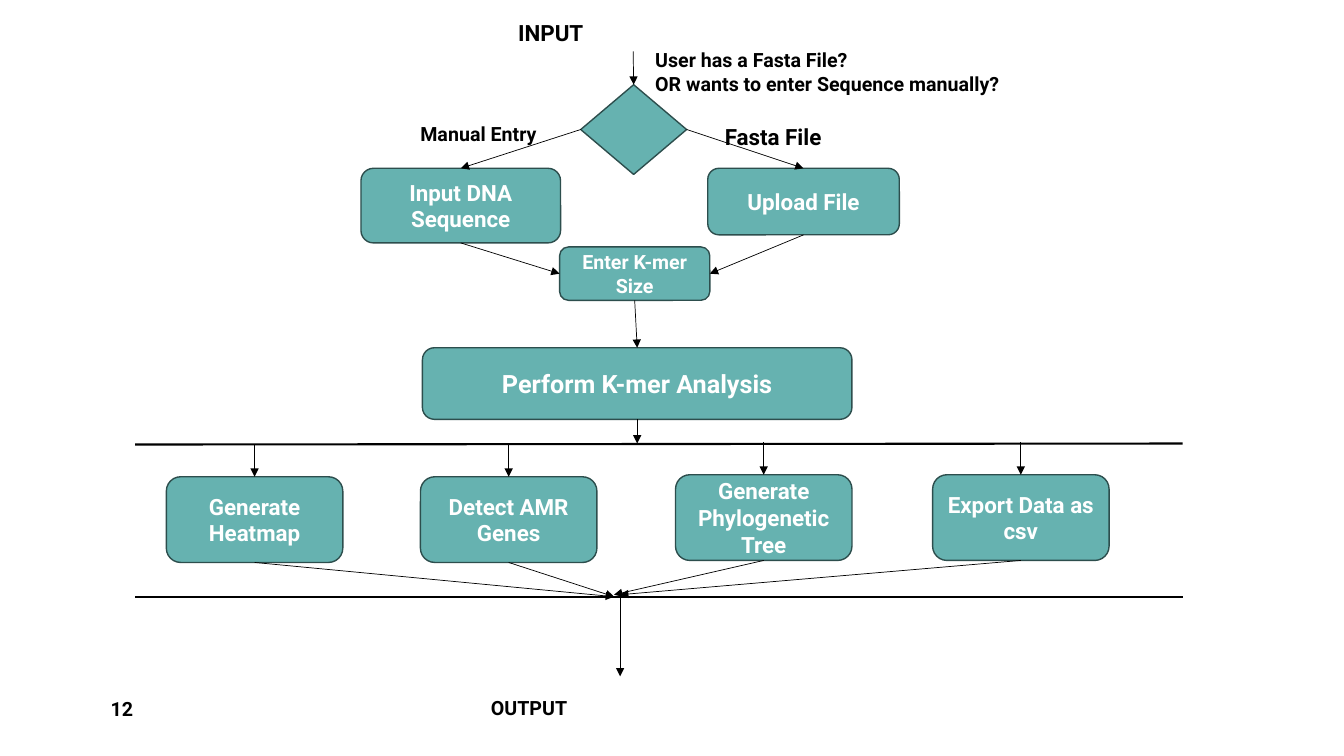
"""Builds a flowchart slide of a K-mer analysis workflow."""
import pptx
import pptx.util
import pptx.dml.color
import pptx.enum.shapes
import pptx.enum.text
import pptx.oxml
import pptx.oxml.ns

Inches = pptx.util.Inches
SHAPES = pptx.enum.shapes.MSO_SHAPE
ANCHOR = pptx.enum.text.MSO_ANCHOR
ALIGN = pptx.enum.text.PP_ALIGN

COLOURS = {"step": "66B2B0", "outline": "2D4E4D", "ink": "000000", "step_text": "FFFFFF"}
FONT = {"name": "Roboto", "bold": True}
TOP, LEFT, BOTTOM, RIGHT = range(4)

STEPS = {
    "choice": ("", 0, (5.76, 0.84, 1.05, 0.89)),
    "manual": ("Input DNA Sequence", 16, (3.58, 1.67, 1.98, 0.74)),
    "upload": ("Upload File", 16, (7.02, 1.67, 1.9, 0.66)),
    "size": ("Enter K-mer Size", 14, (5.55, 2.45, 1.49, 0.53)),
    "analysis": ("Perform K-mer Analysis", 18, (4.19, 3.45, 4.26, 0.71)),
}
RESULTS = [
    ("Generate Heatmap", 1.65, 4.73, (6.09, 5.92)),
    ("Detect AMR Genes", 4.17, 4.73, (6.09, 5.92)),
    ("Generate Phylogenetic Tree", 6.7, 4.71, (6.09, 5.9)),
    ("Export Data as csv", 9.25, 4.71, (6.15, 5.9)),
]
RESULT_SIZE = (1.75, 0.85)
LABELS = [
    (["INPUT"], 16, (5.04, 0.14, 1.27, 0.37), ANCHOR.TOP),
    (["User has a Fasta File?", "OR wants to enter Sequence manually?"], 14,
     (6.4, 0.43, 5.72, 0.57), ANCHOR.TOP),
    (["Manual Entry"], 14, (4.07, 1.16, 1.69, 0.34), ANCHOR.TOP),
    (["Fasta File"], 16, (7.09, 1.17, 1.52, 0.37), ANCHOR.TOP),
    (["OUTPUT"], 14, (4.77, 6.86, 1.04, 0.34), ANCHOR.TOP),
    (["12"], 14, (1, 6.83, 1.3, 0.4), ANCHOR.MIDDLE),
]
BARS = [((1.34, 4.41), (11.73, 4.4)), ((1.34, 5.92), (11.73, 5.92))]
FLOWS = [
    ((6.28, 0.51), ("choice", TOP)),
    (("choice", LEFT), ("manual", TOP)),
    (("choice", RIGHT), ("upload", TOP)),
    (("manual", BOTTOM), ("size", LEFT)),
    (("upload", BOTTOM), ("size", RIGHT)),
    (("size", BOTTOM), ("analysis", TOP)),
    (("analysis", BOTTOM), (6.32, 4.4)),
    ((6.15, 5.92), (6.15, 6.71)),
]
for title, left, top, merge in RESULTS:
    STEPS[title] = (title, 16, (left, top, *RESULT_SIZE))
    FLOWS.append(((left + RESULT_SIZE[0] / 2, top - 0.32), (title, TOP)))
    FLOWS.append(((title, BOTTOM), merge))


def rgb(name):
    return pptx.dml.color.RGBColor.from_string(COLOURS[name])


def write(frame, lines, size, colour, align, anchor):
    frame.word_wrap = True
    frame.vertical_anchor = anchor
    for number, line in enumerate(lines):
        paragraph = frame.add_paragraph() if number else frame.paragraphs[0]
        paragraph.alignment = align
        run = paragraph.add_run()
        run.text = line
        for attribute, value in {**FONT, "size": pptx.util.Pt(size)}.items():
            setattr(run.font, attribute, value)
        run.font.color.rgb = rgb(colour)


def draw_step(slide, title, size, box):
    kind = SHAPES.ROUNDED_RECTANGLE if title else SHAPES.FLOWCHART_DECISION
    step = slide.shapes.add_shape(kind, *map(Inches, box))
    step.shadow.inherit = False
    step.fill.solid()
    step.fill.fore_color.rgb = rgb("step")
    step.line.color.rgb = rgb("outline")
    step.line.width = pptx.util.Pt(1)
    if title:
        write(step.text_frame, [title], size, "step_text", ALIGN.CENTER, ANCHOR.MIDDLE)
    return step


def draw_line(slide, steps, start, end, width, arrow):
    points = [(0, 0) if point[0] in steps else point for point in (start, end)]
    line = slide.shapes.add_connector(
        pptx.enum.shapes.MSO_CONNECTOR.STRAIGHT,
        *(Inches(value) for point in points for value in point))
    for point, connect in ((start, line.begin_connect), (end, line.end_connect)):
        if point[0] in steps:
            connect(steps[point[0]], point[1])
    line.line.color.rgb = rgb("ink")
    line.line.width = pptx.util.Pt(width)
    if arrow:
        tail = pptx.oxml.parse_xml(
            f'<a:tailEnd {pptx.oxml.ns.nsdecls("a")} type="triangle"/>')
        line.line._get_or_add_ln().append(tail)
    line._element.spPr.append(
        pptx.oxml.parse_xml(f'<a:effectLst {pptx.oxml.ns.nsdecls("a")}/>'))


def main():
    deck = pptx.Presentation()
    deck.slide_width, deck.slide_height = Inches(13.33), Inches(7.5)
    slide = deck.slides.add_slide(deck.slide_layouts[6])
    steps = {key: draw_step(slide, *step) for key, step in STEPS.items()}
    for start, end in BARS:
        draw_line(slide, steps, start, end, 1.5, False)
    for start, end in FLOWS:
        draw_line(slide, steps, start, end, 0.5, True)
    for lines, size, box, anchor in LABELS:
        label = slide.shapes.add_textbox(*map(Inches, box))
        write(label.text_frame, lines, size, "ink", ALIGN.LEFT, anchor)
    deck.save("out.pptx")


if __name__ == "__main__":
    main()
